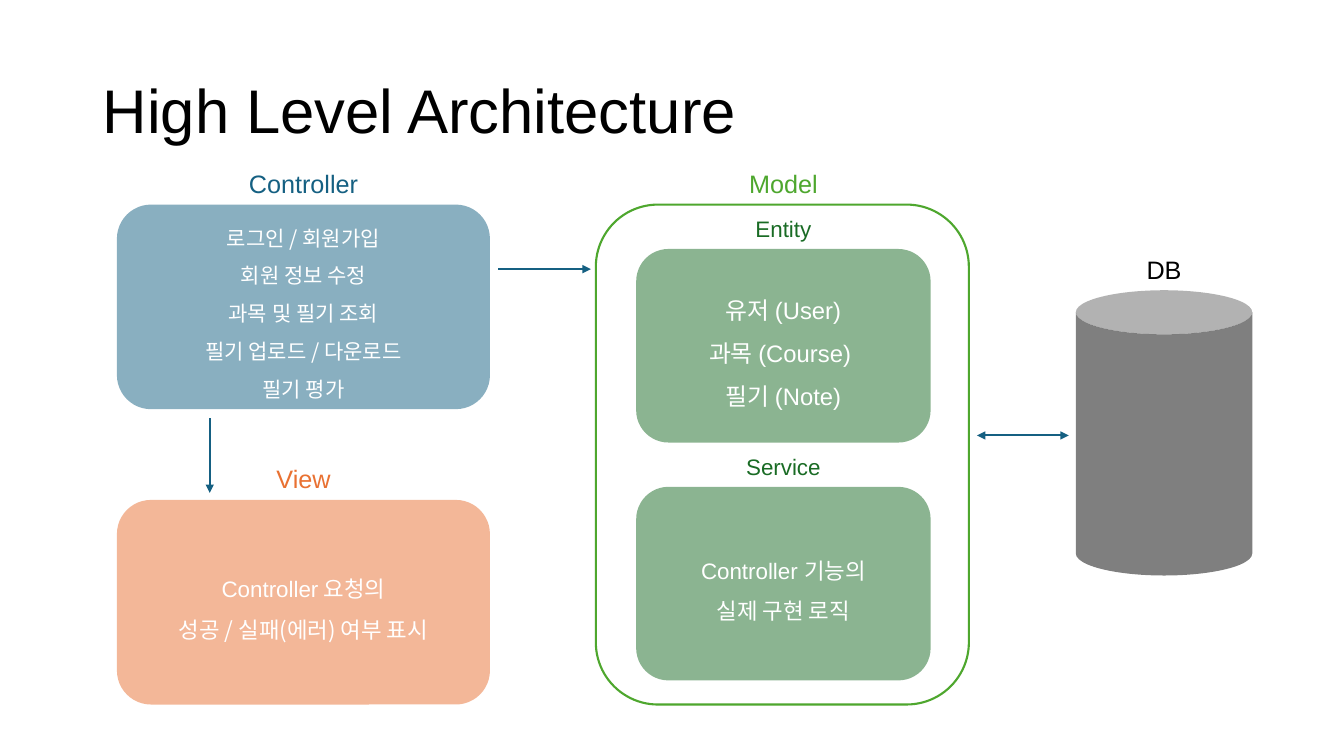
from lxml import etree
from pptx import Presentation
from pptx import util as u
from pptx.dml.color import RGBColor
from pptx.enum import shapes, text
from pptx.oxml.ns import qn

COLORS = {
    "controller": "156082", "view": "E97132", "model": "4EA72E",
    "part": "196B24", "black": "000000", "white": "FFFFFF",
}
LATIN, KOREAN = "Arial", "Noto Sans CJK KR"
MIDDLE, TOP = text.MSO_ANCHOR.MIDDLE, text.MSO_ANCHOR.TOP
CENTER, LEFT = text.PP_ALIGN.CENTER, text.PP_ALIGN.LEFT

deck = Presentation()
deck.slide_width, deck.slide_height = u.Inches(13.33), u.Inches(7.5)
slide = deck.slides.add_slide(deck.slide_layouts[6])

main_w, part_w, db_w = 3.7, 2.92, 1.75
main_h, part_h, db_h = 2.03, 1.92, 2.83
left_col, model_col, db_col = 1.16, 5.91, 10.67
part_col = model_col + 0.4
top_row, view_row, db_row = 2.03, 4.96, 2.88
entity_row, service_row = 2.47, 4.83
model_h = view_row + main_h - top_row
left_mid, model_mid, db_mid = 3.01, 7.77, 11.545


def write(shape, lines, size, color, spacing=1.0, anchor=MIDDLE, align=CENTER, wrap=True):
    frame = shape.text_frame
    for key, value in {"word_wrap": wrap, "vertical_anchor": anchor}.items():
        setattr(frame, key, value)
    for i, runs in enumerate(lines):
        line = frame.paragraphs[0] if i == 0 else frame.add_paragraph()
        for key, value in {"alignment": align, "line_spacing": spacing}.items():
            setattr(line, key, value)
        for words in runs:
            run = line.add_run()
            run.text = words
            has_latin = any(c.isascii() and c.isalpha() for c in words)
            face = {"size": u.Pt(size), "name": LATIN if has_latin else KOREAN}
            for key, value in face.items():
                setattr(run.font, key, value)
            run.font.color.rgb = RGBColor.from_string(COLORS[color])
            east = etree.SubElement(run.font._element, qn("a:ea"))
            east.set("typeface", KOREAN)


def place(kind, box, color, opacity=100, outline=None):
    shape = slide.shapes.add_shape(kind, *map(u.Inches, box))
    shape.shadow.inherit = False
    shape.fill.solid()
    shape.fill.fore_color.rgb = RGBColor.from_string(COLORS[color])
    if opacity < 100:
        tint = shape.fill._xPr.find(qn("a:solidFill"))[0]
        etree.SubElement(tint, qn("a:alpha")).set("val", str(opacity * 1000))
    if outline:
        shape.line.color.rgb = RGBColor.from_string(COLORS[outline])
        shape.line.width = u.Pt(1.5)
    else:
        shape.line.fill.background()
    return shape


title = slide.shapes.add_textbox(*map(u.Inches, (0.92, 0.4, 11.5, 1.45)))
write(title, [["High Level Architecture"]], 44, "black", spacing=0.9, align=LEFT)

ROUND, CAN = shapes.MSO_SHAPE.ROUNDED_RECTANGLE, shapes.MSO_SHAPE.CAN
place(ROUND, (model_col, top_row, main_w, model_h), "white", outline="model")
place(CAN, (db_col, db_row, db_w, db_h), "black", 50)

blocks = [
    ((left_col, top_row, main_w, main_h), "controller", 15,
     [["로그인 / 회원가입"], ["회원 정보 수정"], ["과목 및 필기 조회"],
      ["필기 업로드 / 다운로드"], ["필기 평가"]]),
    ((part_col, entity_row, part_w, part_h), "part", 17,
     [["유저 ", "(User)"], ["과목 ", "(Course) "], ["필기 ", "(Note)"]]),
    ((part_col, service_row, part_w, part_h), "part", 16,
     [["Controller ", "기능의"], ["실제 구현 로직"]]),
    ((left_col, view_row, main_w, main_h), "view", 16,
     [["Controller", " 요청의"], ["성공 / 실패(에러) 여부 표시"]]),
]
for box, color, size, lines in blocks:
    write(place(ROUND, box, color, 50), lines, size, "white", spacing=1.5)

labels = [
    ("Controller", left_mid, top_row, 1.35, 18, "controller"),
    ("Model", model_mid, top_row, 1.35, 18, "model"),
    ("Entity", model_mid, entity_row, 0.85, 16, "part"),
    ("Service", model_mid, service_row, 0.94, 16, "part"),
    ("DB", db_mid, db_row, 0.55, 18, "black"),
    ("View", left_mid, view_row, 1.35, 18, "view"),
]
for name, middle, row, width, size, color in labels:
    height = 0.4 if size == 18 else 0.37
    box = (middle - width / 2, row - height - 0.01, width, height)
    label = slide.shapes.add_textbox(*map(u.Inches, box))
    write(label, [[name]], size, color, anchor=TOP, wrap=name != "DB")

flows = [
    ((2.08, 4.15, 2.08, 4.89), ["tailEnd"]),
    ((4.94, 2.67, 5.86, 2.67), ["tailEnd"]),
    ((9.69, 4.32, 10.6, 4.32), ["headEnd", "tailEnd"]),
]
for ends, heads in flows:
    flow = slide.shapes.add_connector(shapes.MSO_CONNECTOR.STRAIGHT, *map(u.Inches, ends))
    flow.line.color.rgb = RGBColor.from_string(COLORS["controller"])
    flow.line.width = u.Pt(1.5)
    for head in heads:
        etree.SubElement(flow.line._get_or_add_ln(), qn(f"a:{head}")).set("type", "triangle")
    etree.SubElement(flow._element.spPr, qn("a:effectLst"))

deck.save("out.pptx")
